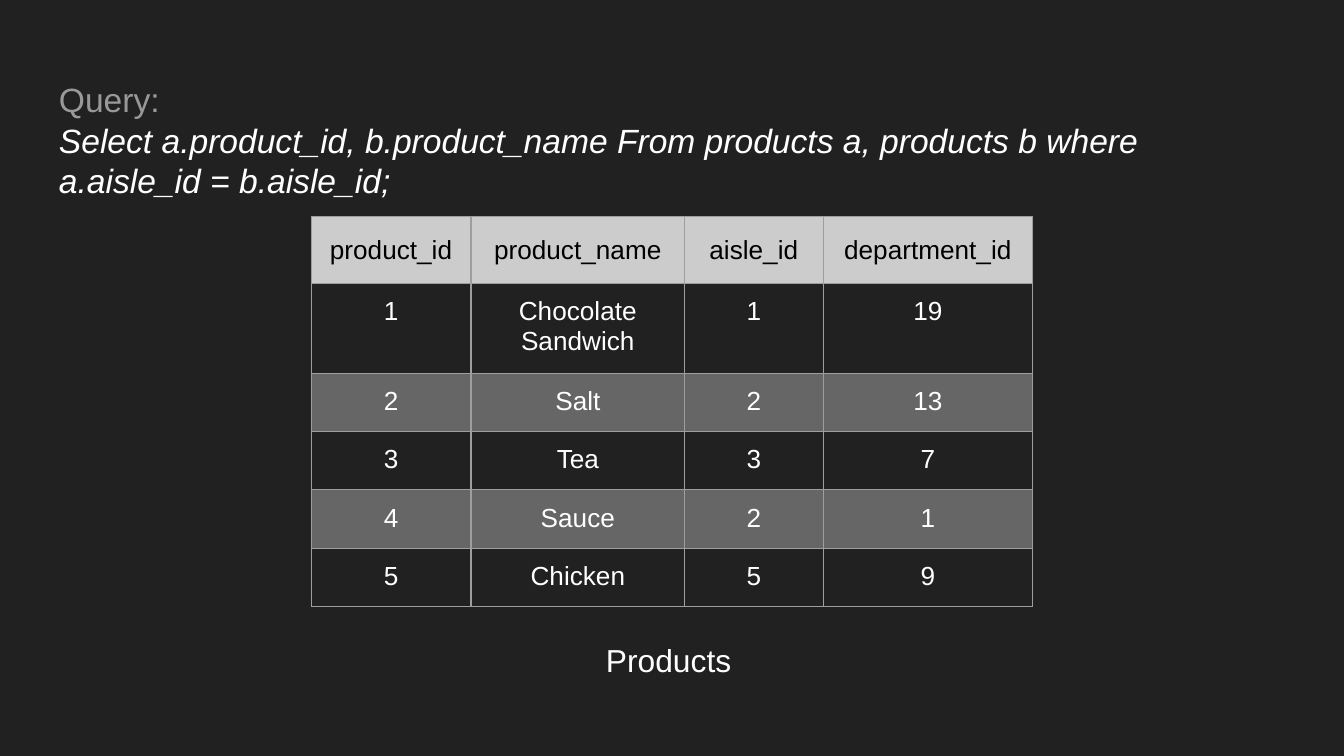
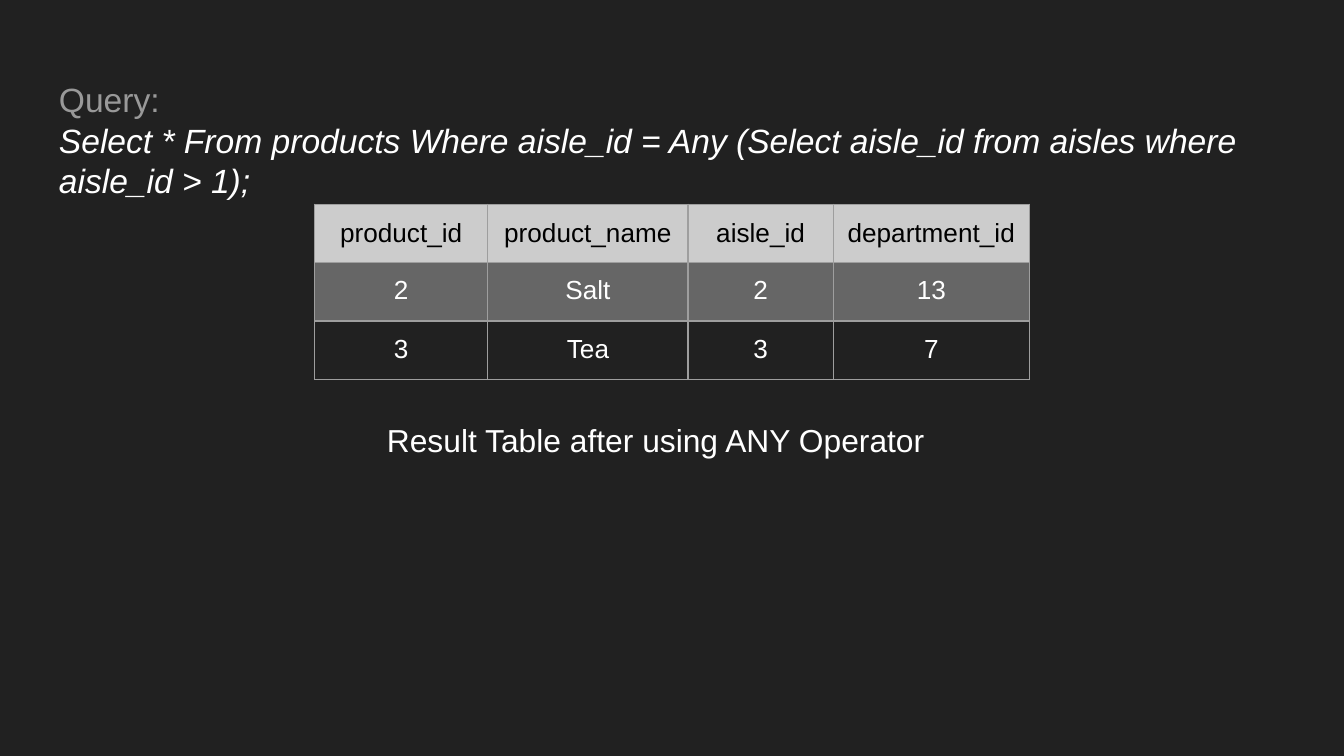
from dataclasses import dataclass

from lxml.etree import SubElement
from pptx import Presentation
from pptx.dml.color import RGBColor
from pptx.enum.text import MSO_ANCHOR, PP_ALIGN
from pptx.oxml.ns import qn
from pptx.util import Inches, Pt


@dataclass(frozen=True)
class Theme:
    font: str = "Arial"
    background: str = "212121"
    text: str = "FFFFFF"
    label: str = "999999"
    header_text: str = "000000"
    header_fill: str = "CCCCCC"
    band_fill: str = "666666"
    border: str = "9E9E9E"
    border_width: float = 0.75
    query_size: int = 18
    caption_size: int = 17
    table_size: int = 14


THEME = Theme()
SLIDE_WIDTH = 10
SLIDE_HEIGHT = SLIDE_WIDTH * 9 / 16
MARGIN = Inches(0.1)
TITLE_HEIGHT = 0.63
ROW_HEIGHT = 0.43
COLUMNS = ("product_id", "product_name", "aisle_id", "department_id")


def write_text(paragraph, text, *, size, color=THEME.text, italic=False,
               align=PP_ALIGN.LEFT):
    paragraph.alignment = align
    paragraph.line_spacing = 1.0
    run = paragraph.add_run()
    run.text = text
    run.font.name = THEME.font
    run.font.size = Pt(size)
    run.font.italic = italic
    run.font.color.rgb = RGBColor.from_string(color)
    # The paragraph end takes the text size, so it does not stretch the line
    SubElement(paragraph._p, qn("a:endParaRPr"), sz=str(size * 100))


def add_text_box(slide, left, top, width):
    shape = slide.shapes.add_textbox(
        Inches(left), Inches(top), Inches(width), Inches(TITLE_HEIGHT))
    frame = shape.text_frame
    frame.word_wrap = True
    frame.margin_left = frame.margin_right = MARGIN
    frame.margin_top = frame.margin_bottom = MARGIN
    return frame


def add_query(slide, query):
    frame = add_text_box(slide, 0.34, 0.49, 9.32)
    write_text(frame.paragraphs[0], "Query:", size=THEME.query_size,
               color=THEME.label)
    write_text(frame.add_paragraph(), query, size=THEME.query_size,
               italic=True)


def add_caption(slide, text, left, top, width):
    frame = add_text_box(slide, left, top, width)
    write_text(frame.paragraphs[0], text, size=THEME.caption_size)


def add_borders(cell):
    properties = cell._tc.get_or_add_tcPr()
    for side in ("a:lnL", "a:lnR", "a:lnT", "a:lnB"):
        line = SubElement(properties, qn(side), w=str(Pt(THEME.border_width)))
        fill = SubElement(line, qn("a:solidFill"))
        SubElement(fill, qn("a:srgbClr"), val=THEME.border)


def format_cell(cell, text, *, fill, color=THEME.text, anchor=MSO_ANCHOR.TOP):
    cell.margin_left = cell.margin_right = MARGIN
    cell.margin_top = cell.margin_bottom = MARGIN
    cell.vertical_anchor = anchor
    add_borders(cell)
    if fill:
        cell.fill.solid()
        cell.fill.fore_color.rgb = RGBColor.from_string(fill)
    else:
        cell.fill.background()
    write_text(cell.text_frame.paragraphs[0], text, size=THEME.table_size,
               color=color, align=PP_ALIGN.CENTER)


def add_product_table(slide, top, widths, products, header_height=ROW_HEIGHT):
    """Centre a table on the slide; products with an even id are shaded."""
    width = sum(widths)
    heights = [header_height] + [ROW_HEIGHT] * len(products)
    table = slide.shapes.add_table(
        len(heights), len(COLUMNS), Inches((SLIDE_WIDTH - width) / 2),
        Inches(top), Inches(width), Inches(sum(heights))).table
    table.first_row = table.horz_banding = False
    for column, column_width in zip(table.columns, widths):
        column.width = Inches(column_width)
    for row, height in zip(table.rows, heights):
        row.height = Inches(height)

    # Header row
    for index, name in enumerate(COLUMNS):
        format_cell(table.cell(0, index), name, fill=THEME.header_fill,
                    color=THEME.header_text, anchor=MSO_ANCHOR.MIDDLE)
    # Product rows
    for row_index, product in enumerate(products, start=1):
        fill = THEME.band_fill if product[0] % 2 == 0 else None
        for index, value in enumerate(product):
            format_cell(table.cell(row_index, index), str(value), fill=fill)


def add_dark_slide(presentation):
    slide = presentation.slides.add_slide(presentation.slide_layouts[6])
    background = slide.background.fill
    background.solid()
    background.fore_color.rgb = RGBColor.from_string(THEME.background)
    return slide


def main():
    presentation = Presentation()
    presentation.slide_width = Inches(SLIDE_WIDTH)
    presentation.slide_height = Inches(SLIDE_HEIGHT)
    products = [
        (1, "Chocolate Sandwich", 1, 19),
        (2, "Salt", 2, 13),
        (3, "Tea", 3, 7),
        (4, "Sauce", 2, 1),
        (5, "Chicken", 5, 9),
    ]

    # Self join on the products table
    slide = add_dark_slide(presentation)
    add_query(slide, "Select a.product_id, b.product_name From products a, "
                     "products b where a.aisle_id = b.aisle_id;")
    add_product_table(slide, 1.61, (1.19, 1.59, 1.03, 1.56), products,
                      header_height=0.5)
    add_caption(slide, "Products", 4.41, 4.67, 1.18)

    # Result of the ANY operator
    slide = add_dark_slide(presentation)
    add_query(slide, "Select * From products Where aisle_id = Any "
                     "(Select aisle_id from aisles where aisle_id > 1);")
    add_product_table(slide, 1.52, (1.29, 1.49, 1.08, 1.46), products[1:3])
    add_caption(slide, "Result Table after using ANY Operator", 2.78, 3.03, 4.45)

    presentation.save("out.pptx")


if __name__ == "__main__":
    main()
